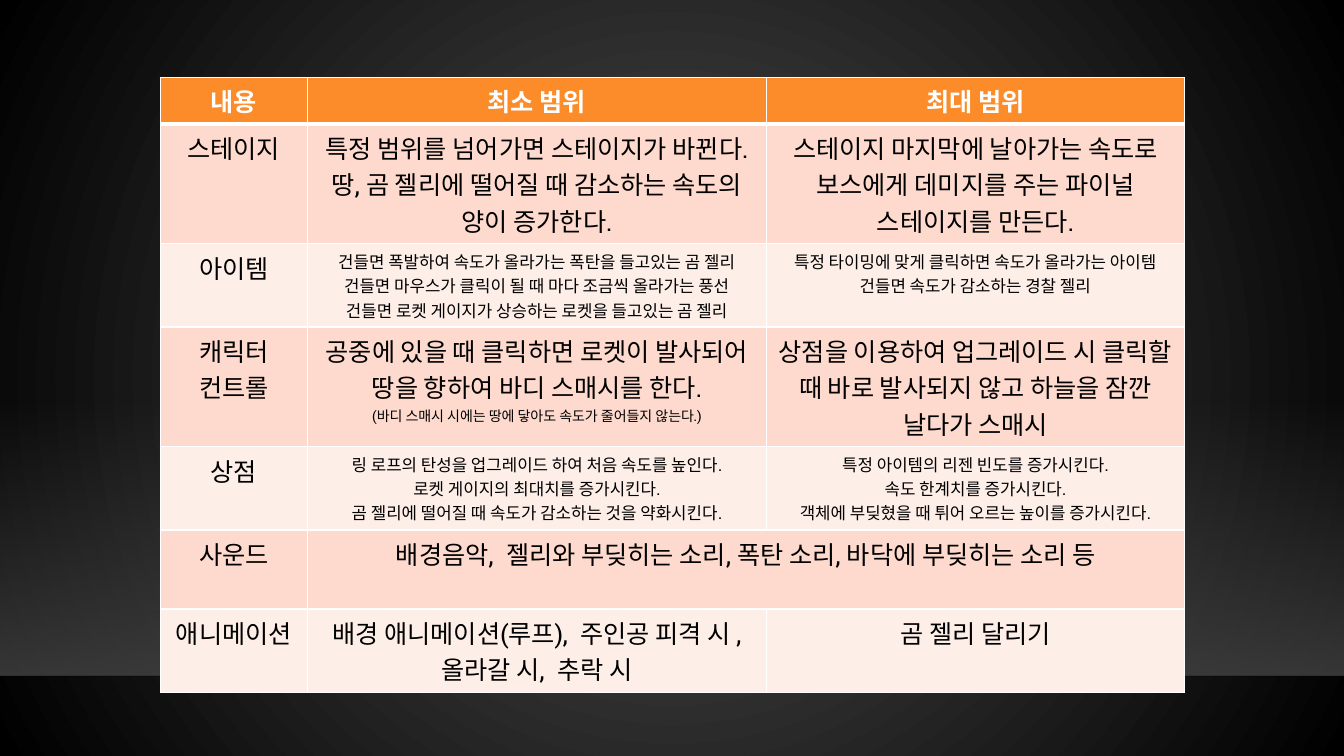
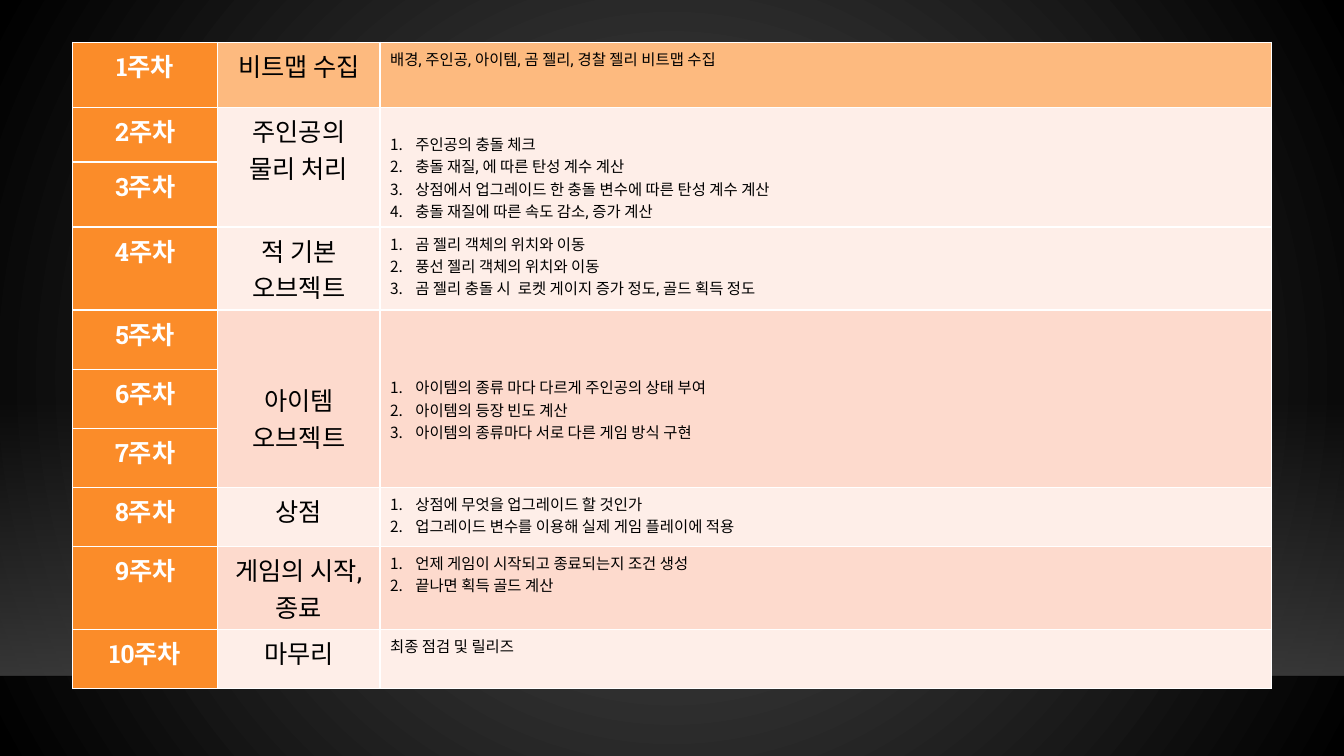
from lxml.etree import SubElement
from pptx import Presentation
from pptx.enum.shapes import MSO_CONNECTOR as LINE, MSO_SHAPE as SHAPE
from pptx.enum.text import PP_ALIGN as ALIGN
from pptx.dml.color import RGBColor
from pptx.oxml import parse_xml
from pptx.oxml.ns import nsdecls, qn
from pptx.util import Pt

FONT = "Roboto Slab"
WHITE, BLACK = "FFFFFF", "000000"
ORANGE, AMBER, PINK, PALE = "FB8C29", "FDBA7F", "FDDACD", "FEEEE8"


def paint(fill, tone):
    fill.solid()
    fill.fore_color.rgb = RGBColor.from_string(tone)


def grid(slide, left, top, widths, heights, texts, tones, spans):
    """Add a bordered table of centred black 18 pt text; tones holds one fill per row."""
    frame = slide.shapes.add_table(len(heights), len(widths), Pt(left), Pt(top),
                                   Pt(sum(widths)), Pt(sum(heights)))
    table = frame.table
    table.first_row = table.horz_banding = False
    for col, width in zip(table.columns, widths):
        col.width = Pt(width)
    for r, height in enumerate(heights):
        table.rows[r].height = Pt(height)
        for c, text in enumerate(texts[r]):
            cell = table.cell(r, c)
            props = cell._tc.get_or_add_tcPr()
            for side in "LRTB":
                edge = SubElement(props, qn(f"a:ln{side}"), w=str(Pt(1)))
                solid = SubElement(edge, qn("a:solidFill"))
                SubElement(solid, qn("a:srgbClr"), val=WHITE)
            paint(cell.fill, tones[r])
            cell.text_frame.text = text
            for para in cell.text_frame.paragraphs:
                para.alignment = ALIGN.CENTER
                for run in para.runs:
                    run.font.name = FONT
                    run.font.size = Pt(18)
                    run.font.bold = False
                    paint(run.font.fill, BLACK)
    for r, c, down, over in spans:
        table.cell(r, c).merge(table.cell(r + down - 1, c + over - 1))
    return table


deck = Presentation()
deck.slide_width, deck.slide_height = Pt(960), Pt(540)
blank = deck.slide_layouts[6]
first, second = [deck.slides.add_slide(blank) for _ in range(2)]

# Shared backdrop, kept on the blank layout
blank.background.fill.solid()
back = next(blank.element.iter(qn("p:bgPr")))
back.replace(back.find(qn("a:solidFill")), parse_xml(
    f'<a:gradFill {nsdecls("a")} rotWithShape="1"><a:gsLst>'
    '<a:gs pos="0"><a:srgbClr val="505050"/></a:gs>'
    '<a:gs pos="100000"><a:srgbClr val="000000"/></a:gs></a:gsLst>'
    '<a:path path="circle"><a:fillToRect l="50000" t="50000" r="50000" b="50000"/></a:path>'
    '</a:gradFill>'))

band = first.shapes.add_shape(SHAPE.RECTANGLE, 0, Pt(285), Pt(960), Pt(197.5))
band.shadow.inherit = False
band.line.fill.background()
paint(band.fill, "454545")
look = band.element.spPr
look.replace(look.find(qn("a:solidFill")), parse_xml(
    f'<a:gradFill {nsdecls("a")}><a:gsLst>'
    '<a:gs pos="0"><a:srgbClr val="454545"><a:alpha val="0"/></a:srgbClr></a:gs>'
    '<a:gs pos="100000"><a:srgbClr val="454545"><a:alpha val="80000"/></a:srgbClr></a:gs>'
    '</a:gsLst><a:lin ang="5400000" scaled="0"/></a:gradFill>'))

floor = first.shapes.add_connector(LINE.STRAIGHT, 0, Pt(483), Pt(960), Pt(483))
floor.line.width = Pt(1)
paint(floor.line.fill, "000001")
look = floor.element.spPr
SubElement(next(look.iter(qn("a:srgbClr"))), qn("a:alpha"), val="20000")
SubElement(look, qn("a:effectLst"))
for part in (band, floor):
    blank.shapes.element.append(part.element)

# Slide 1: scope of the game
scope = [
    ["내용", "최소 범위", "최대 범위"],
    ["스테이지",
     "특정 범위를 넘어가면 스테이지가 바뀐다. 땅, 곰 젤리에 떨어질 때 감소하는 속도의 양이 증가한다.",
     "스테이지 마지막에 날아가는 속도로 보스에게 데미지를 주는 파이널 스테이지를 만든다."],
    ["아이템",
     "건들면 폭발하여 속도가 올라가는 폭탄을 들고있는 곰 젤리\n"
     "건들면 마우스가 클릭이 될 때 마다 조금씩 올라가는 풍선\n"
     "건들면 로켓 게이지가 상승하는 로켓을 들고있는 곰 젤리",
     "특정 타이밍에 맞게 클릭하면 속도가 올라가는 아이템\n"
     "건들면 속도가 감소하는 경찰 젤리"],
    ["캐릭터 컨트롤",
     "공중에 있을 때 클릭하면 로켓이 발사되어 땅을 향하여 바디 스매시를 한다.\n"
     "(바디 스매시 시에는 땅에 닿아도 속도가 줄어들지 않는다.)",
     "상점을 이용하여 업그레이드 시 클릭할 때 바로 발사되지 않고 하늘을 잠깐 날다가 스매시"],
    ["상점",
     "링 로프의 탄성을 업그레이드 하여 처음 속도를 높인다.\n"
     "로켓 게이지의 최대치를 증가시킨다.\n"
     "곰 젤리에 떨어질 때 속도가 감소하는 것을 약화시킨다.",
     "특정 아이템의 리젠 빈도를 증가시킨다.\n"
     "속도 한계치를 증가시킨다.\n"
     "객체에 부딪혔을 때 튀어 오르는 높이를 증가시킨다."],
    ["사운드", "배경음악,  젤리와 부딪히는 소리, 폭탄 소리, 바닥에 부딪히는 소리 등", ""],
    ["애니메이션", "배경 애니메이션(루프),  주인공 피격 시 , 올라갈 시,  추락 시", "곰 젤리 달리기"],
]
table = grid(first, 114.5, 55.4, [105, 328, 298.5], [33, 85.5, 59, 85.5, 59, 56.5, 59],
             scope, [ORANGE] + [PINK, PALE] * 3, [(5, 1, 1, 2)])
for c in range(3):
    font = table.cell(0, c).text_frame.paragraphs[0].runs[0].font
    font.bold = True
    paint(font.fill, WHITE)
    for r, side in ((0, "B"), (1, "T")):
        table.cell(r, c)._tc.tcPr.find(qn(f"a:ln{side}")).set("w", str(Pt(3)))
for r in (2, 4):
    for c in (1, 2):
        for para in table.cell(r, c).text_frame.paragraphs:
            para.runs[0].font.size = Pt(12)
table.cell(3, 1).text_frame.paragraphs[1].runs[0].font.size = Pt(10)

# Slide 2: ten-week plan
tasks = [
    ("비트맵 수집", "배경, 주인공, 아이템, 곰 젤리, 경찰 젤리 비트맵 수집"),
    ("주인공의 물리 처리",
     "주인공의 충돌 체크\n충돌 재질, 에 따른 탄성 계수 계산\n"
     "상점에서 업그레이드 한 충돌 변수에 따른 탄성 계수 계산\n"
     "충돌 재질에 따른 속도 감소, 증가 계산"),
    ("", ""),
    ("적 기본 오브젝트",
     "곰 젤리 객체의 위치와 이동\n풍선 젤리 객체의 위치와 이동\n"
     "곰 젤리 충돌 시  로켓 게이지 증가 정도, 골드 획득 정도"),
    ("아이템 오브젝트",
     "아이템의 종류 마다 다르게 주인공의 상태 부여\n아이템의 등장 빈도 계산\n"
     "아이템의 종류마다 서로 다른 게임 방식 구현"),
    ("", ""),
    ("", ""),
    ("상점", "상점에 무엇을 업그레이드 할 것인가\n업그레이드 변수를 이용해 실제 게임 플레이에 적용"),
    ("게임의 시작, 종료", "언제 게임이 시작되고 종료되는지 조건 생성\n끝나면 획득 골드 계산"),
    ("마무리", "최종 점검 및 릴리즈"),
]
weeks = [[f"{n}주차", *task] for n, task in enumerate(tasks, 1)]
table = grid(second, 52, 30.2, [103.5, 116, 636.5],
             [46.5, 39, 46.5, 59] + [42.2] * 4 + [59, 42.2],
             weeks, [AMBER] + [PALE] * 3 + [PINK] * 3 + [PALE, PINK, PALE],
             [(1, 1, 2, 1), (1, 2, 2, 1), (4, 1, 3, 1), (4, 2, 3, 1)])
for r in range(len(weeks)):
    week = table.cell(r, 0)
    paint(week.fill, ORANGE)
    font = week.text_frame.paragraphs[0].runs[0].font
    font.bold = True
    paint(font.fill, WHITE)
    steps = table.cell(r, 2).text_frame.paragraphs
    for para in steps:
        para.alignment = ALIGN.LEFT
        for run in para.runs:
            run.font.size = Pt(11)
        if len(steps) > 1:
            props = para._p.get_or_add_pPr()
            props.set("marL", str(Pt(18)))
            props.set("indent", str(Pt(-18)))
            SubElement(props, qn("a:buAutoNum"), type="arabicPeriod")
for r, c, gap in ((1, 2, 18), (4, 1, 51), (4, 2, 47)):
    table.cell(r, c).margin_top = Pt(gap)

deck.save("out.pptx")
